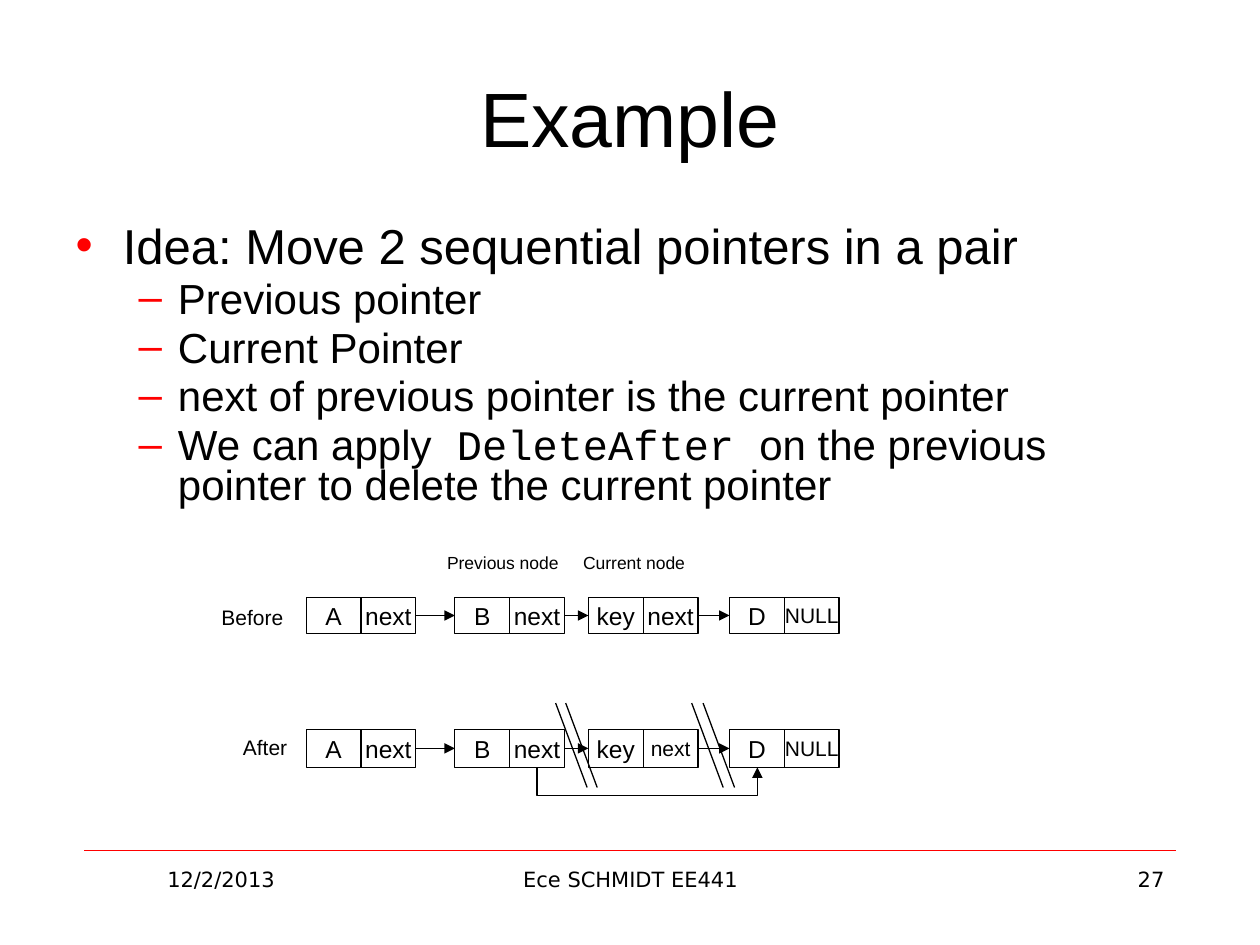
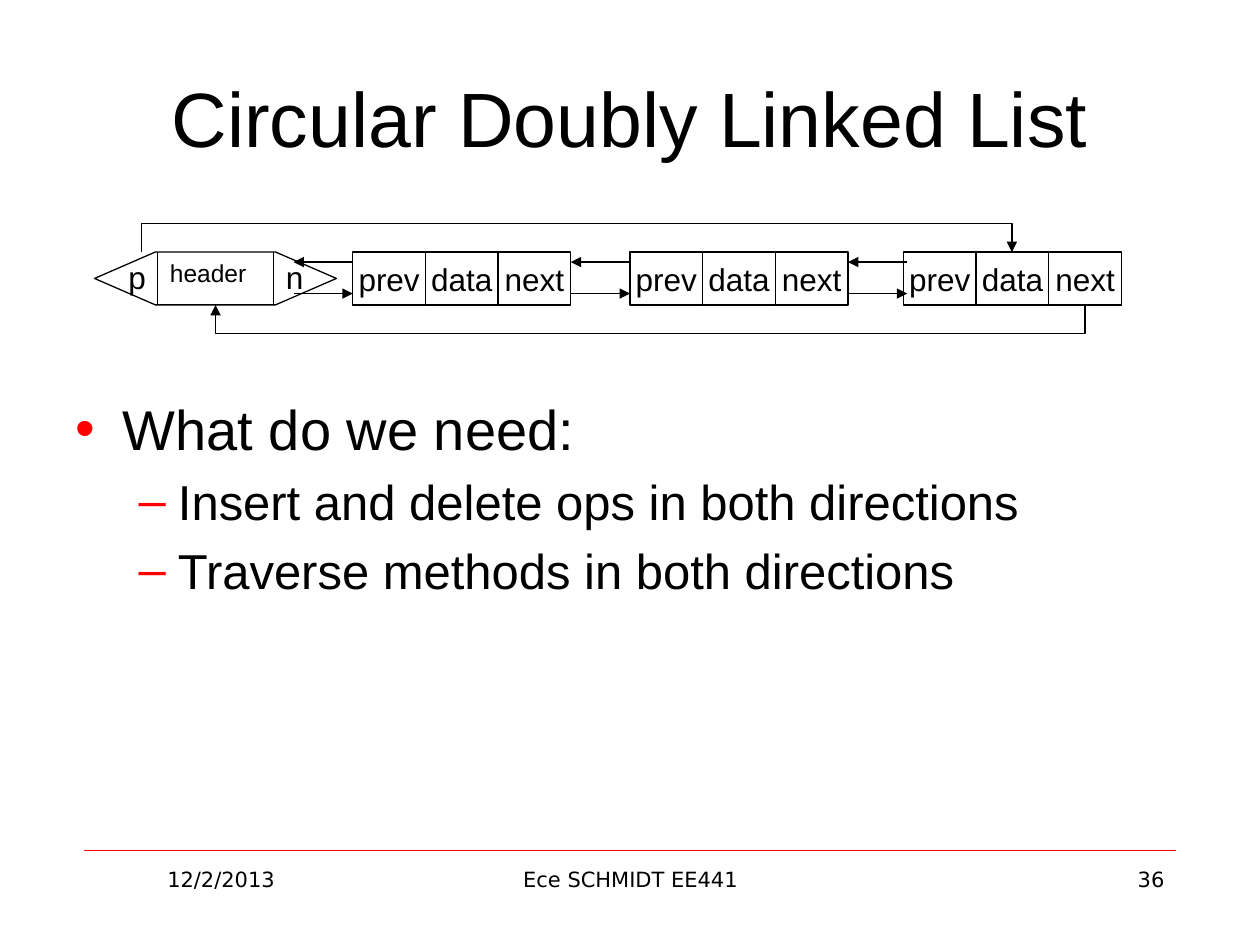
from lxml import etree
from pptx import Presentation
from pptx.dml.color import RGBColor
from pptx.enum.shapes import MSO_CONNECTOR, MSO_SHAPE
from pptx.enum.text import MSO_ANCHOR, MSO_AUTO_SIZE, PP_ALIGN
from pptx.oxml.ns import qn
from pptx.util import Inches, Pt

STRAIGHT, ELBOW = MSO_CONNECTOR.STRAIGHT, MSO_CONNECTOR.ELBOW
RECTANGLE, HEXAGON = MSO_SHAPE.RECTANGLE, MSO_SHAPE.HEXAGON
MIDDLE, NO_FIT = MSO_ANCHOR.MIDDLE, MSO_AUTO_SIZE.NONE
LEFT, CENTER, RIGHT = PP_ALIGN.LEFT, PP_ALIGN.CENTER, PP_ALIGN.RIGHT

BLACK, RED = "000000", "FF0000"
SANS, MONO, FOOTER_FONT = "Arial", "Courier New", "DejaVu Sans"
THIN = 0.75
SLIVER = Pt(0.125)
ELBOW_DEPTH = 0.25


def color(value):
    return RGBColor.from_string(value)


def write(para, text, size=12, font=SANS, ink=BLACK):
    span = para.add_run()
    span.text = text
    span.font.size = Pt(size)
    span.font.name = font
    span.font.color.rgb = color(ink)


def place(box, left, top, width, height):
    box.left, box.top = Inches(left), Inches(top)
    box.width, box.height = Inches(width), Inches(height)


def add_label(shapes, text, left, top, width, height, align=LEFT, **style):
    box = shapes.add_textbox(Inches(left), Inches(top), Inches(width), Inches(height))
    box.text_frame.word_wrap = True
    para = box.text_frame.paragraphs[0]
    para.alignment = align
    write(para, text, **style)


def add_outline(shapes, kind, left, top, width, height):
    shape = shapes.add_shape(kind, Inches(left), Inches(top), Inches(width), Inches(height))
    shape.shadow.inherit = False
    shape.fill.background()
    shape.line.color.rgb = color(BLACK)
    shape.line.width = Pt(THIN)
    return shape


def style_line(line, ink, weight, arrow):
    line.line.color.rgb = color(ink)
    line.line.width = Pt(weight)
    if arrow:
        etree.SubElement(line.line._get_or_add_ln(), qn("a:tailEnd"), type="triangle")
    etree.SubElement(line._element.spPr, qn("a:effectLst"))


def add_line(shapes, start, end, ink=BLACK, weight=THIN, arrow=False):
    points = [Inches(value) for value in (*start, *end)]
    line = shapes.add_connector(STRAIGHT, *points)
    style_line(line, ink, weight, arrow)


def add_elbow(shapes, start, end, y, depth):
    span = Inches(abs(end - start))
    middle = Inches((start + end) / 2)
    top = Inches(y) - span // 2
    line = shapes.add_connector(ELBOW, middle, top, middle + SLIVER, top + span)
    frame = line._element.spPr.find(qn("a:xfrm"))
    frame.set("rot", "5400000")
    if start < end:
        frame.set("flipV", "1")
    guides = line._element.spPr.find(qn("a:prstGeom")).get_or_add_avLst()
    bend = round(Inches(depth) / SLIVER * 100000)
    etree.SubElement(guides, qn("a:gd"), name="adj1", fmla=f"val {bend}")
    style_line(line, BLACK, THIN, True)


def add_node(slide, cells, left, top, width, height, size):
    group = slide.shapes.add_group_shape()
    step = width / len(cells)
    for index, cell in enumerate(cells):
        text, text_size = cell if isinstance(cell, tuple) else (cell, size)
        box = add_outline(group.shapes, RECTANGLE, left + index * step, top, step, height)
        box.text_frame.word_wrap = False
        box.text_frame.vertical_anchor = MIDDLE
        para = box.text_frame.paragraphs[0]
        para.alignment = CENTER
        write(para, text, size=text_size)


def add_page(deck, title, number):
    slide = deck.slides.add_slide(deck.slide_layouts[1])
    add_line(slide.shapes, (0.67, 6.75), (9.33, 6.75), ink=RED, weight=0.25)
    heading = slide.shapes.title
    place(heading, 0.5, 0.3, 9, 1.25)
    heading.text_frame.auto_size = NO_FIT
    heading.text_frame.vertical_anchor = MIDDLE
    para = heading.text_frame.paragraphs[0]
    para.alignment = CENTER
    write(para, title, size=44)
    for text, left, width, align in (
        ("12/2/2013", 0.67, 2.17, CENTER),
        ("Ece SCHMIDT EE441", 3.42, 3.17, CENTER),
        (number, 7.17, 2.17, RIGHT),
    ):
        add_label(slide.shapes, text, left, 6.83, width, 0.52, align, font=FOOTER_FONT)
    return slide


def fill_body(slide, area, items, sizes, spacing=None):
    body = slide.placeholders[1]
    place(body, *area)
    frame = body.text_frame
    frame.auto_size = NO_FIT
    for index, (level, *spans) in enumerate(items):
        para = frame.add_paragraph() if index else frame.paragraphs[0]
        para.level = level
        if spacing:
            para.line_spacing = spacing
        bullet = etree.SubElement(para._p.get_or_add_pPr(), qn("a:buClr"))
        etree.SubElement(bullet, qn("a:srgbClr"), val=RED)
        for text, font in spans:
            write(para, text, size=sizes[level], font=font)


def add_chain(slide, nodes, top, height):
    lefts, width = (2.43, 3.61, 4.67, 5.79), 0.87
    for cells, left in zip(nodes, lefts):
        add_node(slide, cells, left, top, width, height, 14)
    y = top + height / 2
    for left, following in zip(lefts, lefts[1:]):
        add_line(slide.shapes, (left + width, y), (following, y), arrow=True)


def build_example(deck):
    slide = add_page(deck, "Example", "27")
    fill_body(slide, (0.5, 1.75, 8.83, 2.58), [
        (0, ("Idea: Move 2 sequential pointers in a pair", SANS)),
        (1, ("Previous pointer", SANS)),
        (1, ("Current Pointer", SANS)),
        (1, ("next of previous pointer is the current pointer", SANS)),
        (1, ("We can apply", SANS), (" DeleteAfter ", MONO),
         ("on the previous pointer to delete the current pointer", SANS)),
    ], (28, 24), spacing=0.8)

    first, second, last = ("A", "next"), ("B", "next"), ("D", ("NULL", 12))
    add_chain(slide, (first, second, ("key", "next"), last), 4.74, 0.29)
    add_chain(slide, (first, second, ("key", ("next", 12)), last), 5.79, 0.3)
    add_elbow(slide.shapes, 4.26, 6.01, 6.09, ELBOW_DEPTH)
    for left in (4.41, 4.49, 5.49, 5.58):
        add_line(slide.shapes, (left, 5.58), (left + 0.25, 6.25))
    add_label(slide.shapes, "Previous node", 3.45, 4.33, 1.17, 0.27, size=10)
    add_label(slide.shapes, "Current node", 4.53, 4.33, 1.17, 0.27, size=10)
    add_label(slide.shapes, "Before", 1.66, 4.75, 0.93, 0.3)
    add_label(slide.shapes, "After", 1.83, 5.78, 0.93, 0.3)


def add_header_node(slide, top, height):
    shapes = slide.shapes.add_group_shape().shapes
    hexagon = add_outline(shapes, HEXAGON, 0.75, top, 1.92, height)
    hexagon.adjustments[0] = 1.15
    for x in (1.25, 2.17):
        add_line(shapes, (x, top), (x, top + height))
    add_label(shapes, "p", 0.92, top, 0.42, 0.4, size=18)
    add_label(shapes, "n", 2.17, top, 0.42, 0.4, size=18)
    add_label(shapes, "header", 1.25, top, 0.95, 0.33, size=14)


def build_circular_list(deck):
    slide = add_page(deck, "Circular Doubly Linked List", "36")
    fill_body(slide, (0.5, 3.08, 9, 3.62), [
        (0, ("What do we need:", SANS)),
        (1, ("Insert and delete ops in both directions", SANS)),
        (1, ("Traverse methods in both directions", SANS)),
    ], (32, 28))

    top, height, gap = 2, 0.42, 0.47
    add_header_node(slide, top, height)
    for left in (2.8, 5, 7.17):
        add_node(slide, ("prev", "data", "next"), left, top, 1.73, height, 18)
    for right in (2.8, 5, 7.2):
        add_line(slide.shapes, (right, 2.08), (right - gap, 2.08), arrow=True)
        add_line(slide.shapes, (right - gap, 2.33), (right, 2.33), arrow=True)
    add_elbow(slide.shapes, 1.12, 8.03, top, -ELBOW_DEPTH)
    add_elbow(slide.shapes, 8.61, 1.71, top + height, ELBOW_DEPTH)


def main():
    deck = Presentation()
    deck.slide_width, deck.slide_height = Inches(10), Inches(7.5)
    build_example(deck)
    build_circular_list(deck)
    deck.save("out.pptx")


main()
